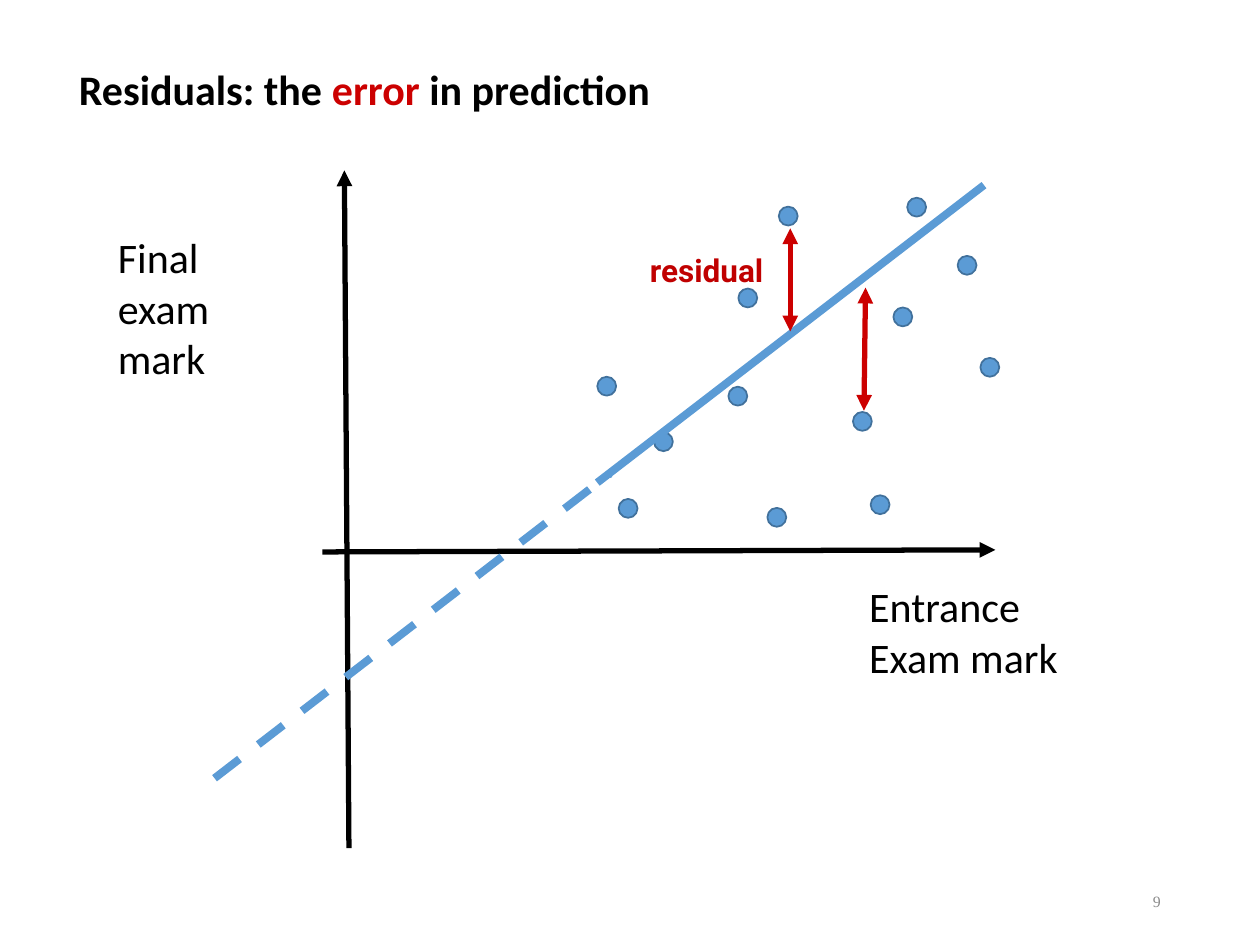
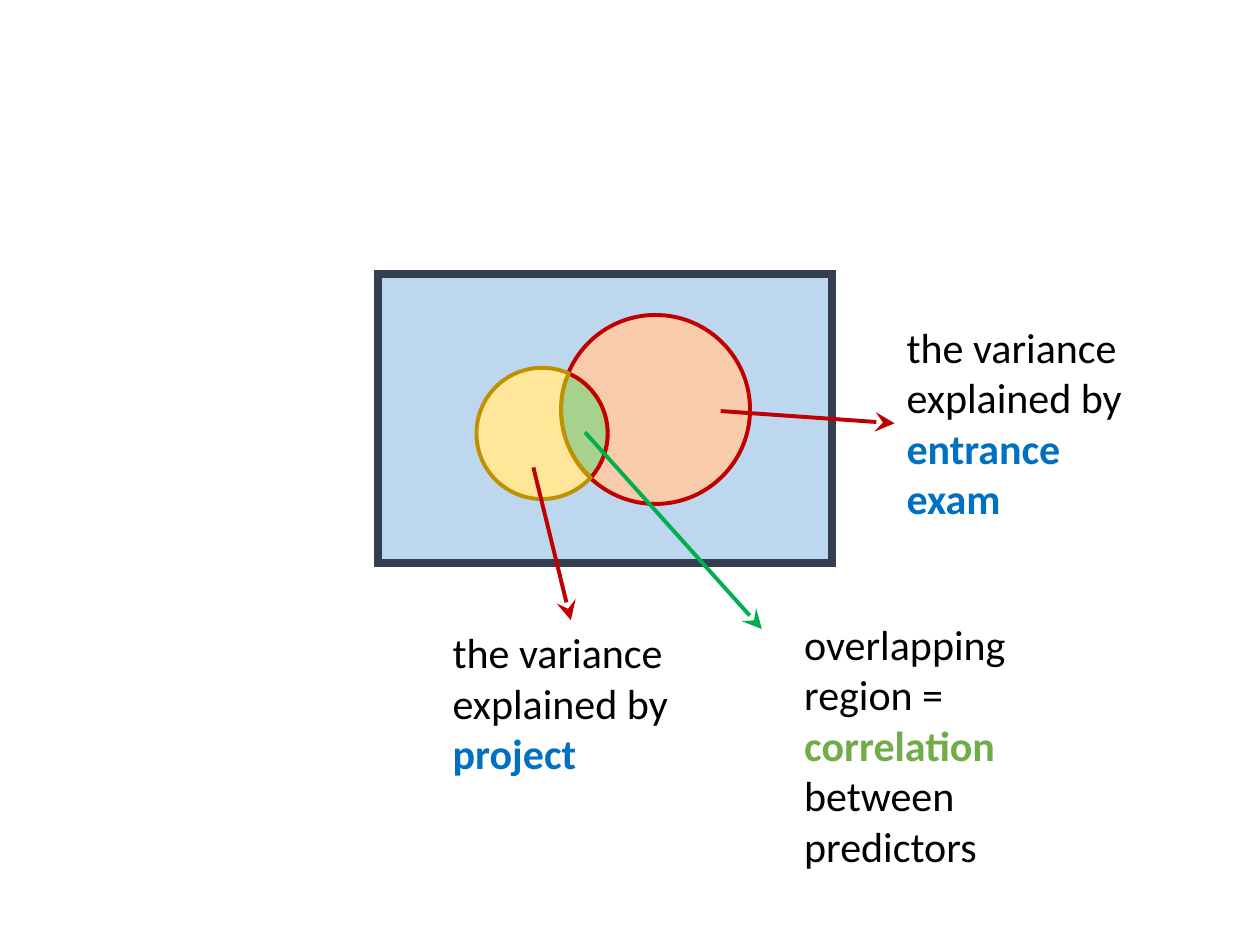
"""Build two slides on regression: residuals and the variance shared by predictors."""
from math import cos, radians, sin, tan

from lxml import etree
from pptx import Presentation
from pptx.dml.color import RGBColor
from pptx.enum.dml import MSO_LINE
from pptx.enum.shapes import MSO_CONNECTOR, MSO_SHAPE
from pptx.enum.text import MSO_ANCHOR, PP_ALIGN
from pptx.oxml.ns import qn
from pptx.util import Pt

STRAIGHT = MSO_CONNECTOR.STRAIGHT
OVAL = MSO_SHAPE.OVAL
RECTANGLE = MSO_SHAPE.RECTANGLE
DASH = MSO_LINE.DASH
LEFT, RIGHT = PP_ALIGN.LEFT, PP_ALIGN.RIGHT
TOP, MIDDLE = MSO_ANCHOR.TOP, MSO_ANCHOR.MIDDLE

BLACK = RGBColor(0x00, 0x00, 0x00)
GREY = RGBColor(0x89, 0x89, 0x89)
RED = RGBColor(0xCC, 0x00, 0x00)
DARK_RED = RGBColor(0xC0, 0x00, 0x00)
BLUE = RGBColor(0x5B, 0x9B, 0xD5)
DOT_EDGE = RGBColor(0x41, 0x71, 0x9C)
STRONG_BLUE = RGBColor(0x00, 0x70, 0xC0)
PALE_BLUE = RGBColor(0xBD, 0xD7, 0xEE)
NAVY = RGBColor(0x33, 0x3F, 0x50)
GREEN = RGBColor(0x00, 0xB0, 0x50)
TEXT_GREEN = RGBColor(0x70, 0xAD, 0x47)
PALE_GREEN = RGBColor(0xA9, 0xD1, 0x8E)
PEACH = RGBColor(0xF8, 0xCB, 0xAD)
YELLOW = RGBColor(0xFF, 0xE6, 0x99)
GOLD = RGBColor(0xBF, 0x90, 0x00)


def fill_text(shape, paragraphs, size=24, font="Calibri", wrap=True,
              alignment=LEFT, anchor=TOP):
    """Write paragraphs, each a list of (text, colour, bold) runs."""
    frame = shape.text_frame
    frame.word_wrap = wrap
    frame.vertical_anchor = anchor
    for index, runs in enumerate(paragraphs):
        paragraph = frame.add_paragraph() if index else frame.paragraphs[0]
        paragraph.alignment = alignment
        for text, colour, bold in runs:
            run = paragraph.add_run()
            run.text = text
            run.font.name = font
            run.font.size = Pt(size)
            run.font.bold = bold
            run.font.color.rgb = colour


def add_line(slide, start, end, colour, width, head=None, tail=None, dash=None,
             head_size="med"):
    """Draw a straight line with optional arrowheads at its start and end."""
    line = slide.shapes.add_connector(STRAIGHT, *map(Pt, start + end))
    line.line.color.rgb = colour
    line.line.width = Pt(width)
    if dash:
        line.line.dash_style = dash
    properties = line.element.spPr
    outline = properties.find(qn("a:ln"))
    for tag, arrow in (("a:headEnd", head), ("a:tailEnd", tail)):
        if arrow:
            etree.SubElement(outline, qn(tag), type=arrow, w=head_size, len=head_size)
    etree.SubElement(properties, qn("a:effectLst"))


presentation = Presentation()
presentation.slide_width, presentation.slide_height = Pt(720), Pt(540)
title_only, blank = presentation.slide_layouts[5], presentation.slide_layouts[6]

slide = presentation.slides.add_slide(title_only)
title = slide.shapes.title
title.left, title.top, title.width, title.height = Pt(16.3), Pt(32.4), Pt(761), Pt(36)
title.text_frame.margin_left = Pt(28.8)
fill_text(title, [[("Residuals: the ", BLACK, True), ("error", RED, True),
                   (" in prediction", BLACK, True)]])

add_line(slide, (184.3, 315.4), (568.8, 314.2), BLACK, 3, tail="triangle")
add_line(slide, (199.4, 484.6), (196.8, 97.4), BLACK, 3, tail="triangle")

DOT_SIZE = 10.8
students = [
    (421.9, 164.9), (341.3, 215.3), (373.7, 247), (510.5, 175.7), (416.2, 221),
    (353.5, 285.1), (497.5, 283), (487.4, 235.4), (445, 118.1), (547.2, 146.2),
    (560.2, 204.5), (518.4, 113), (438.5, 290.2),
]
for left, top in students:
    dot = slide.shapes.add_shape(OVAL, Pt(left), Pt(top), Pt(DOT_SIZE), Pt(DOT_SIZE))
    dot.shadow.inherit = False
    dot.fill.solid()
    dot.fill.fore_color.rgb = BLUE
    dot.line.color.rgb = DOT_EDGE
    dot.line.width = Pt(1)

add_line(slide, (341.3, 275.8), (562.3, 105.8), BLUE, 4.5)
add_line(slide, (122.6, 444.7), (348.5, 270.7), BLUE, 4.5, dash=DASH)
for start, end in [((493.7, 234.7), (494.6, 164.4)), ((451.6, 189.4), (451.6, 130.5))]:
    add_line(slide, start, end, RED, 3, head="triangle", tail="triangle")

axis_labels = [
    ((489.6, 328.3, 141, 65), ["Entrance", "Exam mark"]),
    ((60.3, 128.9, 76.3, 93.6), ["Final", "exam", "mark"]),
]
for bounds, words in axis_labels:
    label = slide.shapes.add_textbox(*map(Pt, bounds))
    fill_text(label, [[(word, BLACK, False)] for word in words], wrap=False)

residual_label = slide.shapes.add_textbox(Pt(364.3), Pt(139.7), Pt(87), Pt(29))
fill_text(residual_label, [[("residual", DARK_RED, True)]], 18, "Roboto", wrap=False)
slide_number = slide.shapes.add_textbox(Pt(508.3), Pt(500.4), Pt(162), Pt(28.8))
fill_text(slide_number, [[("9", GREY, False)]], 9, "Times New Roman",
          alignment=RIGHT, anchor=MIDDLE)

slide = presentation.slides.add_slide(blank)
total_variance = slide.shapes.add_shape(RECTANGLE, Pt(216), Pt(156.7), Pt(259.4), Pt(164.9))
total_variance.shadow.inherit = False
total_variance.fill.solid()
total_variance.fill.fore_color.rgb = PALE_BLUE
total_variance.line.color.rgb = NAVY
total_variance.line.width = Pt(4.5)
etree.SubElement(total_variance.element.spPr.find(qn("a:ln")), qn("a:miter"), lim="800000")

project_circle = (309.8, 247.7, 37.5)
exam_circle = (374.6, 234, 54)
regions = [
    (PALE_GREEN, GOLD, [(project_circle, [-66, 0, 42]), (exam_circle, [133.4, 180, 203])]),
    (PEACH, DARK_RED, [(exam_circle, [203, 270, 360, 450, 493.4]),
                       (project_circle, [42, 0, -66])]),
    (YELLOW, GOLD, [(project_circle, [42, 90, 180, 270, 294]),
                    (exam_circle, [203, 180, 133.4])]),
]
for fill, edge, arcs in regions:
    curves = []
    for (center_x, center_y, radius), angles in arcs:
        for first, last in zip(angles, angles[1:]):
            first, last = radians(first), radians(last)
            reach = 4 / 3 * tan((last - first) / 4)
            curves.append([
                (Pt(center_x + radius * (cos(angle) - pull * sin(angle))),
                 Pt(center_y + radius * (sin(angle) + pull * cos(angle))))
                for angle, pull in [(first, 0), (first, reach), (last, -reach), (last, 0)]
            ])
    builder = slide.shapes.build_freeform(*curves[0][0])
    builder.add_line_segments([curve[-1] for curve in curves], close=True)
    region = builder.convert_to_shape()
    segments = list(region.element.iter(qn("a:lnTo")))
    for segment, curve in zip(segments, curves):
        segment.tag = qn("a:cubicBezTo")
        for index, (x, y) in enumerate(curve[1:3]):
            control = etree.Element(qn("a:pt"), x=str(x - region.left), y=str(y - region.top))
            segment.insert(index, control)
    region.shadow.inherit = False
    region.fill.solid()
    region.fill.fore_color.rgb = fill
    region.line.color.rgb = edge
    region.line.width = Pt(2.25)

callouts = [
    ((411.8, 234.9), (511.2, 241.9), DARK_RED, (511, 180.2, 152, 122.4),
     [("the variance explained by ", BLACK, False), ("entrance exam", STRONG_BLUE, True)]),
    ((334.3, 247), (435.4, 359.5), GREEN, (452.5, 349.9, 155.5, 151.2),
     [("overlapping region = ", BLACK, False), ("correlation", TEXT_GREEN, True),
      (" between predictors", BLACK, False)]),
    ((304.8, 267.1), (326.2, 354.4), DARK_RED, (251.6, 354.6, 149, 93.6),
     [("the variance explained by ", BLACK, False), ("project", STRONG_BLUE, True)]),
]
for start, end, colour, bounds, runs in callouts:
    add_line(slide, start, end, colour, 2.25, tail="stealth", head_size="lg")
    fill_text(slide.shapes.add_textbox(*map(Pt, bounds)), [runs])

presentation.save("out.pptx")
